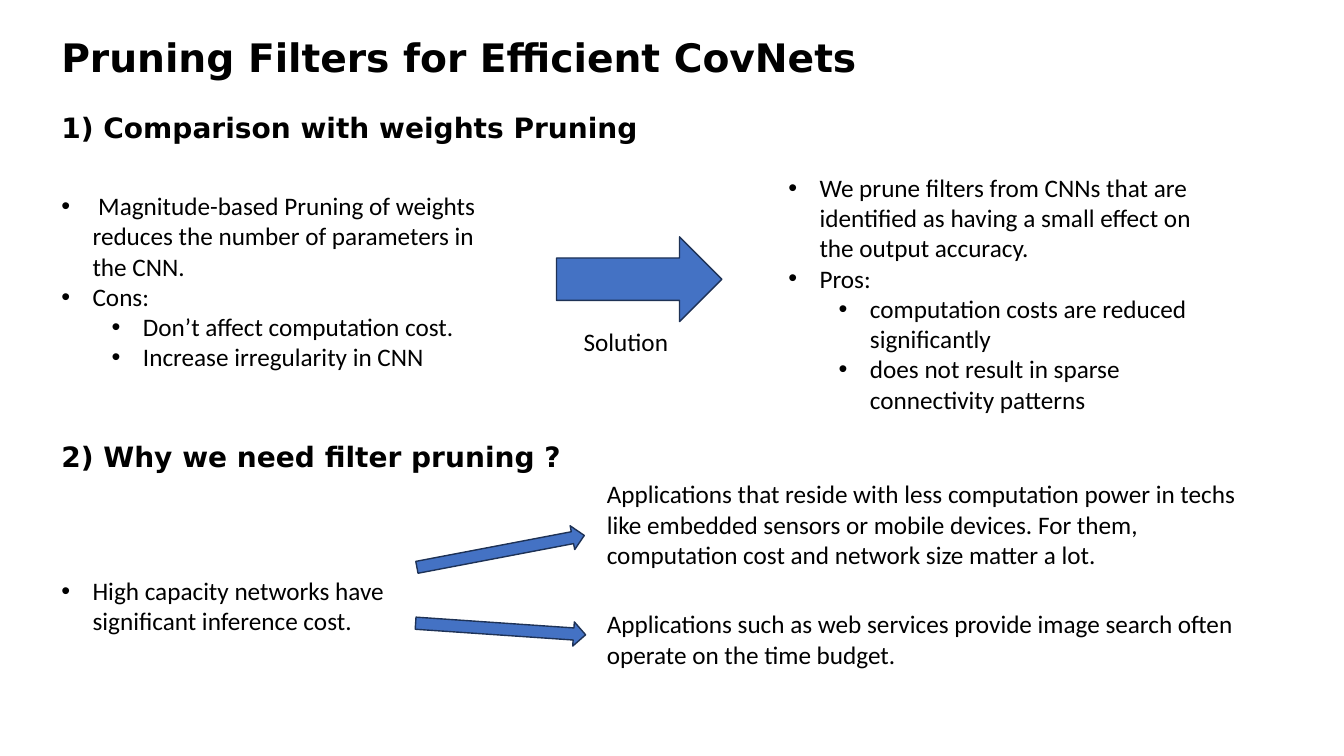
from lxml.etree import SubElement
from pptx import Presentation
from pptx.dml.color import RGBColor
from pptx.enum.shapes import MSO_SHAPE
from pptx.oxml.ns import qn
from pptx.util import Inches, Pt

COLORS = {"text": "000000", "arrow": "4472C4", "outline": "1E3256"}
HEADING_FONT, BODY_FONT = "DejaVu Sans", "Calibri"
LEFT, HEADING_WIDTH, LIST_WIDTH = 0.51, 9.54, 4.45
BULLET_HANG, LEVEL_STEP = 0.31, 0.5

# text, size, top, height
HEADINGS = [
    ("Pruning Filters for Efficient CovNets", 28, 0.28, 0.57),
    ("1) Comparison with weights Pruning", 20, 1.05, 0.44),
    ("2) Why we need filter pruning ?", 20, 4.31, 0.44),
]

# left, top, height, [(level, text)]
BULLET_LISTS = [
    (LEFT, 1.84, 2.22, [
        (0, " Magnitude-based Pruning of weights reduces the number of "
            "parameters in the CNN."),
        (0, "Cons:"),
        (1, "Don’t affect computation cost."),
        (1, "Increase irregularity in CNN"),
    ]),
    (7.72, 1.66, 2.52, [
        (0, "We prune filters from CNNs that are identified as having a small "
            "effect on the output accuracy."),
        (0, "Pros:"),
        (1, "computation costs are reduced significantly"),
        (1, "does not result in sparse connectivity patterns"),
    ]),
    (LEFT, 5.66, 0.71, [
        (0, "High capacity networks have significant inference cost."),
    ]),
]

# text, left, top, width, height
PLAIN_TEXTS = [
    ("Solution", 5.69, 3.19, 1.31, 0.4),
    ("Applications that reside with less computation power in techs like "
     "embedded sensors or mobile devices. For them, computation cost and "
     "network size matter a lot.", 5.92, 4.7, 6.67, 1.31),
    ("Applications such as web services provide image search often operate "
     "on the time budget.", 5.92, 5.99, 6.67, 1.01),
]

# left, top, width, height, rotation
ARROWS = [
    (5.52, 2.35, 1.64, 0.84, 0),
    (4.12, 5.35, 1.69, 0.24, 349.2),
    (4.12, 6.12, 1.69, 0.24, 3.9),
]


def add_bullet(paragraph, level):
    paragraph.level = level
    properties = paragraph._p.get_or_add_pPr()
    properties.set("marL", str(Inches(BULLET_HANG + level * LEVEL_STEP)))
    properties.set("indent", str(-Inches(BULLET_HANG)))
    SubElement(properties, qn("a:buFont"), typeface="Arial")
    SubElement(properties, qn("a:buChar"), char="•")


def add_text(slide, lines, left, top, width, height, *, size=18,
             font=BODY_FONT, bold=False, bullets=False):
    """Add a text box from (level, text) lines."""
    box = slide.shapes.add_textbox(*map(Inches, (left, top, width, height)))
    frame = box.text_frame
    frame.word_wrap = True
    for index, (level, text) in enumerate(lines):
        paragraph = frame.add_paragraph() if index else frame.paragraphs[0]
        if bullets:
            add_bullet(paragraph, level)
        run = paragraph.add_run()
        run.text = text
        run.font.name = font
        run.font.size = Pt(size)
        run.font.bold = bold
        run.font.color.rgb = RGBColor.from_string(COLORS["text"])


def add_arrow(slide, left, top, width, height, rotation):
    arrow = slide.shapes.add_shape(
        MSO_SHAPE.RIGHT_ARROW, *map(Inches, (left, top, width, height)))
    arrow.rotation = rotation
    arrow.shadow.inherit = False
    arrow.fill.solid()
    arrow.fill.fore_color.rgb = RGBColor.from_string(COLORS["arrow"])
    arrow.line.color.rgb = RGBColor.from_string(COLORS["outline"])
    arrow.line.width = Pt(1)


def main():
    deck = Presentation()
    deck.slide_width, deck.slide_height = Inches(13.33), Inches(7.5)
    slide = deck.slides.add_slide(deck.slide_layouts[6])
    for heading, size, top, height in HEADINGS:
        add_text(slide, [(0, heading)], LEFT, top, HEADING_WIDTH, height,
                 size=size, font=HEADING_FONT, bold=True)
    for left, top, height, lines in BULLET_LISTS:
        add_text(slide, lines, left, top, LIST_WIDTH, height, bullets=True)
    for text, *place in PLAIN_TEXTS:
        add_text(slide, [(0, text)], *place)
    for arrow in ARROWS:
        add_arrow(slide, *arrow)
    deck.save("out.pptx")


if __name__ == "__main__":
    main()
